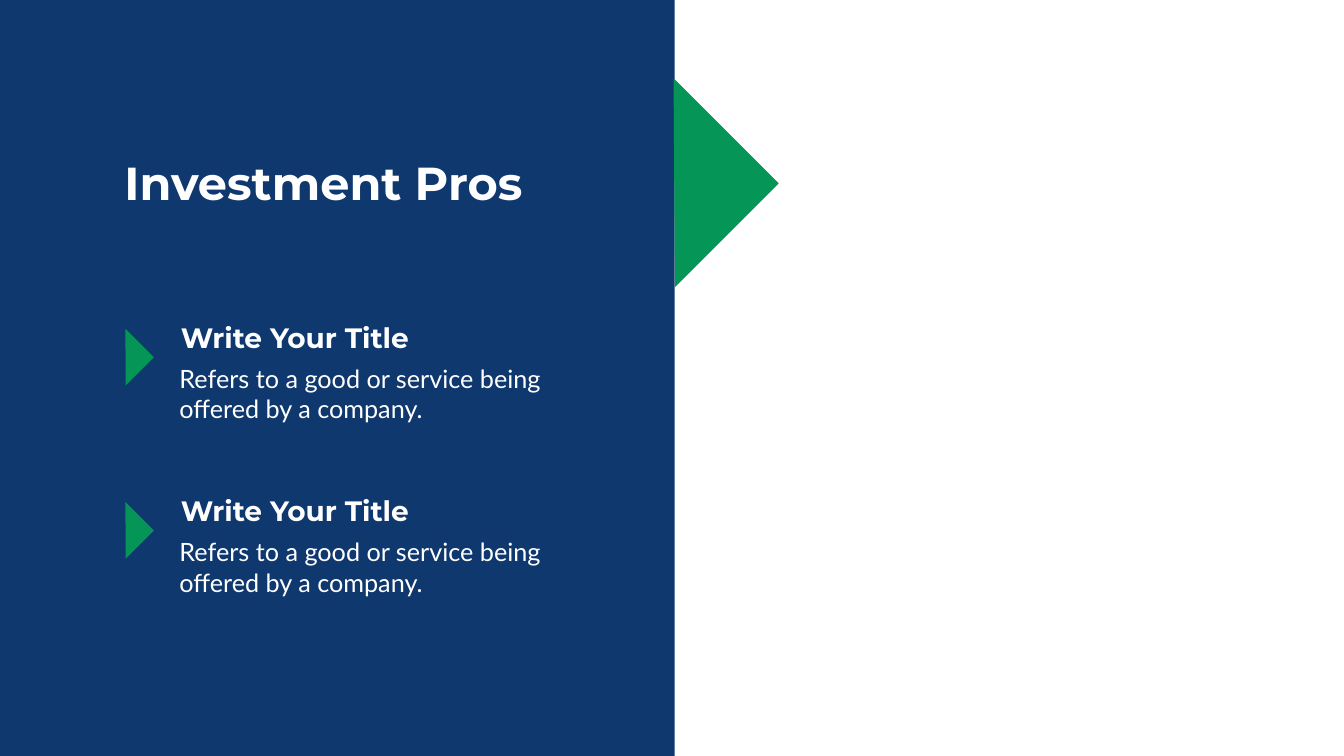
from dataclasses import dataclass

from pptx import Presentation
from pptx.dml.color import RGBColor
from pptx.enum.shapes import MSO_SHAPE as Shape
from pptx.enum.text import MSO_AUTO_SIZE as AutoSize
from pptx.util import Inches, Pt


@dataclass(frozen=True)
class Theme:
    navy: RGBColor = RGBColor(0x0F, 0x38, 0x6E)
    green: RGBColor = RGBColor(0x05, 0x95, 0x57)
    white: RGBColor = RGBColor(0xFF, 0xFF, 0xFF)
    heading_font: str = "Montserrat"
    body_font: str = "Lato"
    title_size: int = 66
    subtitle_size: int = 40
    body_size: int = 36


THEME = Theme()
HEADING = {"name": THEME.heading_font, "bold": True}
TITLE = {**HEADING, "size": Pt(THEME.title_size)}
SUBTITLE = {**HEADING, "size": Pt(THEME.subtitle_size)}
BODY = {"name": THEME.body_font, "bold": False, "size": Pt(THEME.body_size)}

REASONS = [
    ("Write Your Title", "Refers to a good or service being offered by a company."),
    ("Write Your Title", "Refers to a good or service being offered by a company."),
]
FIRST_REASON_TOP = 6.31
REASON_STEP = 3.44


def add_filled_shape(page, kind, left, top, width, height, color):
    shape = page.shapes.add_shape(
        kind, Inches(left), Inches(top), Inches(width), Inches(height))
    shape.shadow.inherit = False
    shape.fill.solid()
    shape.fill.fore_color.rgb = color
    shape.line.fill.background()
    return shape


def add_pointer(page, left, top, width, height):
    """Add a right triangle turned so that its right angle points right."""
    pointer = add_filled_shape(
        page, Shape.RIGHT_TRIANGLE, left, top, width, height, THEME.green)
    pointer.rotation = 225


def add_text(page, text, left, top, width, height, style, inset=(0.1, 0.05)):
    box = page.shapes.add_textbox(
        Inches(left), Inches(top), Inches(width), Inches(height))
    frame = box.text_frame
    frame.word_wrap = True
    frame.auto_size = AutoSize.SHAPE_TO_FIT_TEXT
    frame.margin_left = frame.margin_right = Inches(inset[0])
    frame.margin_top = frame.margin_bottom = Inches(inset[1])
    span = frame.paragraphs[0].add_run()
    span.text = text
    span.font.color.rgb = THEME.white
    for name, value in style.items():
        setattr(span.font, name, value)


def add_reason(page, top, title, body):
    add_text(page, body, 3.32, top + 0.78, 7.98, 1.45, BODY, inset=(0.24, 0.12))
    add_text(page, title, 3.49, top, 5.67, 0.77, SUBTITLE)
    add_pointer(page, 2.09, top + 0.38, 0.8, 0.79)


def main():
    deck = Presentation()
    deck.slide_width, deck.slide_height = Inches(26.66), Inches(15)
    page = deck.slides.add_slide(deck.slide_layouts[6])

    add_filled_shape(page, Shape.RECTANGLE, 0, 0, 13.38, 15, THEME.navy)
    add_text(page, "Investment Pros", 2.37, 3.02, 8.46, 1.21, TITLE)
    add_pointer(page, 11.9, 2.17, 2.95, 2.91)
    for index, (title, body) in enumerate(REASONS):
        add_reason(page, FIRST_REASON_TOP + index * REASON_STEP, title, body)

    deck.save("out.pptx")


if __name__ == "__main__":
    main()
